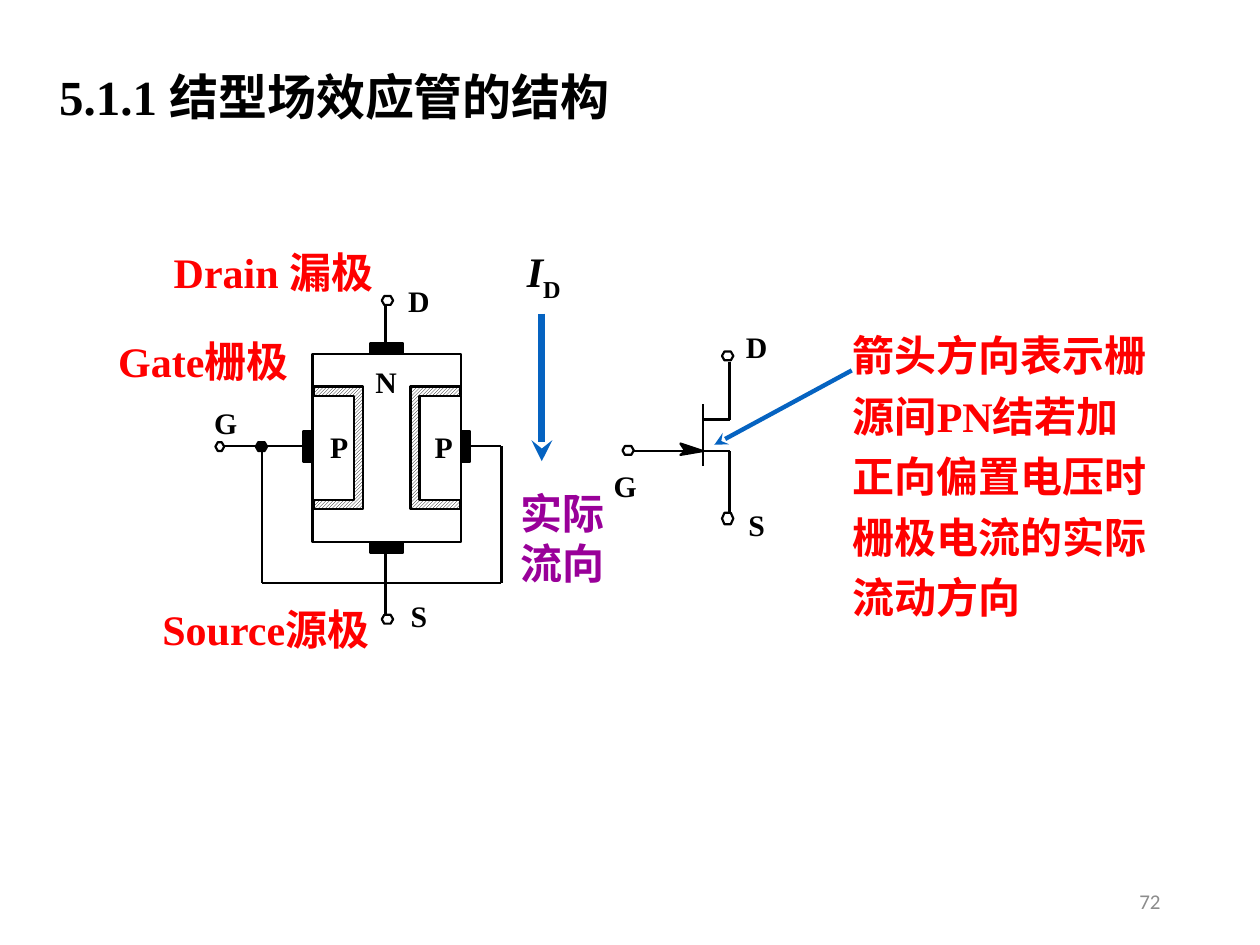
"""Build the slide on the structure of the junction field-effect transistor."""
from lxml.etree import SubElement
from pptx import Presentation
from pptx.dml.color import RGBColor
from pptx.enum.dml import MSO_PATTERN
from pptx.enum.shapes import MSO_CONNECTOR, MSO_SHAPE
from pptx.enum.text import MSO_ANCHOR, MSO_AUTO_SIZE, PP_ALIGN
from pptx.oxml.ns import qn
from pptx.util import Inches, Pt

BLACK, WHITE, RED, PURPLE, BLUE, GREY = "000000", "FFFFFF", "FF0000", "990099", "0563C1", "8C8C8C"
color = RGBColor.from_string


def finish(shape, fill, width=1.25):
    """Give a shape a solid fill, a black outline and no shadow."""
    shape.shadow.inherit = False
    shape.fill.solid()
    shape.fill.fore_color.rgb = color(fill)
    shape.line.color.rgb = color(BLACK)
    shape.line.width = Pt(width)


def write(box, text, size, ink, align, bold=True, font="Times New Roman"):
    """Fill a text shape with one formatted paragraph and return it."""
    frame = box.text_frame
    frame.word_wrap = True
    frame.auto_size = MSO_AUTO_SIZE.SHAPE_TO_FIT_TEXT
    frame.vertical_anchor = MSO_ANCHOR.TOP
    para = frame.paragraphs[0]
    para.text = text
    para.alignment = align
    para.font.name = font
    para.font.size = Pt(size)
    para.font.bold = bold
    para.font.color.rgb = color(ink)
    return para


deck = Presentation()
deck.slide_width, deck.slide_height = Inches(10), Inches(7.5)
page = deck.slides.add_slide(deck.slide_layouts[5])
shapes = page.shapes

title = shapes.title
title.left, title.top, title.width, title.height = map(Inches, (0.37, 0.48, 6.92, 0.57))
write(title, "5.1.1 结型场效应管的结构", 28, BLACK, PP_ALIGN.JUSTIFY)

symbol_wires = [
    (5.58, 3.7, 5.58, 3.21), (5.79, 3.33, 5.58, 3.33), (5.79, 3.58, 5, 3.58),
    (5.79, 2.87, 5.79, 3.33), (5.79, 3.58, 5.79, 4.07),
]
structure_wires = [
    (3.06, 2.38, 3.06, 4.88), (1.75, 3.54, 3.98, 3.54), (2.08, 3.54, 2.08, 4.63),
    (3.98, 4.63, 2.08, 4.63), (3.98, 3.54, 3.98, 4.63),
]
lines = [(wire, BLACK, 1.25, False) for wire in symbol_wires + structure_wires]
lines += [((6.76, 2.94, 5.67, 3.53), BLUE, 2.5, True), ((4.3, 2.49, 4.3, 3.66), BLUE, 4, True)]
for ends, ink, width, arrow in lines:
    line = shapes.add_connector(MSO_CONNECTOR.STRAIGHT, *map(Inches, ends))
    line.line.color.rgb = color(ink)
    line.line.width = Pt(width)
    if arrow:
        SubElement(line.line._get_or_add_ln(), qn("a:tailEnd"), type="stealth")
    SubElement(line._element.spPr, qn("a:effectLst"))

body = shapes.add_shape(MSO_SHAPE.RECTANGLE, *map(Inches, (2.48, 2.81, 1.18, 1.49)))
finish(body, WHITE)
contacts = [(2.94, 2.72, 0.26, 0.09), (2.94, 4.3, 0.26, 0.09),
            (2.41, 3.42, 0.07, 0.25), (3.66, 3.42, 0.07, 0.25)]
for place in contacts:
    finish(shapes.add_shape(MSO_SHAPE.RECTANGLE, *map(Inches, place)), BLACK)

for layer_left, region_left in [(2.49, 2.48), (3.26, 3.33)]:
    layer = shapes.add_shape(MSO_SHAPE.RECTANGLE, *map(Inches, (layer_left, 3.07, 0.39, 0.97)))
    finish(layer, WHITE, 1.5)
    layer.fill.patterned()
    layer.fill.pattern = MSO_PATTERN.LIGHT_UPWARD_DIAGONAL
    layer.fill.fore_color.rgb = color(BLACK)
    layer.fill.back_color.rgb = color(WHITE)
    region = shapes.add_shape(MSO_SHAPE.RECTANGLE, *map(Inches, (region_left, 3.14, 0.33, 0.83)))
    finish(region, WHITE)

terminals = [
    (4.94, 3.54, 0.09, 0.07, WHITE), (5.73, 2.79, 0.09, 0.07, WHITE), (5.73, 4.07, 0.09, 0.09, WHITE),
    (3.03, 2.35, 0.09, 0.07, WHITE), (1.71, 3.51, 0.07, 0.07, WHITE),
    (2.03, 3.51, 0.09, 0.07, BLACK), (3.03, 4.88, 0.09, 0.07, WHITE),
]
outlines = [([(5.4, 3.61), (5.44, 3.58), (5.4, 3.52), (5.58, 3.58)], BLACK)]
for left, top, width, height, fill in terminals:
    right, bottom, middle = left + width, top + height, top + height / 2
    outlines.append(([(left, middle), (left + 0.02, top), (right - 0.02, top),
                      (right, middle), (right - 0.02, bottom), (left + 0.02, bottom)], fill))
for points, fill in outlines:
    corners = [(Inches(x), Inches(y)) for x, y in points]
    builder = shapes.build_freeform(*corners[0])
    builder.add_line_segments(corners[1:], close=True)
    finish(builder.convert_to_shape(), fill)

pin_labels = [
    ("D", 5.92, 2.61, 0.17), ("S", 5.94, 4.02, 0.13), ("G", 4.87, 3.71, 0.18),
    ("D", 3.24, 2.24, 0.17), ("S", 3.26, 4.74, 0.13), ("G", 1.7, 3.21, 0.18),
    ("N", 2.98, 2.89, 0.17), ("P", 2.62, 3.4, 0.14), ("P", 3.45, 3.4, 0.14),
]
for text, left, top, width in pin_labels:
    box = shapes.add_textbox(*map(Inches, (left, top, width, 0.28)))
    write(box, text, 17, BLACK, PP_ALIGN.CENTER)
    frame = box.text_frame
    frame.word_wrap = False
    frame.margin_left = frame.margin_right = frame.margin_top = frame.margin_bottom = 0

notes = [
    ("Gate栅极", (0.84, 2.61, 1.64, 0.5), RED, PP_ALIGN.LEFT, 1),
    ("Source源极", (1.19, 4.74, 2.05, 0.5), RED, PP_ALIGN.LEFT, 1),
    ("Drain 漏极", (1.28, 1.91, 1.89, 0.5), RED, PP_ALIGN.LEFT, 1),
    ("箭头方向表示栅源间PN结若加正向偏置电压时栅极电流的实际流动方向",
     (6.67, 2.49, 2.59, 2.5), RED, PP_ALIGN.LEFT, 1.2),
    ("实际流向", (3.95, 3.82, 1.03, 0.9), PURPLE, PP_ALIGN.CENTER, 1),
]
for text, place, ink, align, spacing in notes:
    para = write(shapes.add_textbox(*map(Inches, place)), text, 24, ink, align)
    para.line_spacing = spacing

current = shapes.add_textbox(*map(Inches, (4.07, 1.9, 0.49, 0.5)))
para = write(current, "I", 24, BLACK, PP_ALIGN.CENTER)
current.text_frame.word_wrap = False
para.runs[0].font.italic = True
subscript = para.add_run()
subscript.text = "D"
subscript.font._element.set("baseline", "-25000")

number = shapes.add_textbox(*map(Inches, (7.06, 6.95, 2.25, 0.4)))
write(number, "72", 12, GREY, PP_ALIGN.RIGHT, False, "Calibri")
number.text_frame.auto_size = MSO_AUTO_SIZE.NONE
number.text_frame.vertical_anchor = MSO_ANCHOR.MIDDLE

deck.save("out.pptx")
